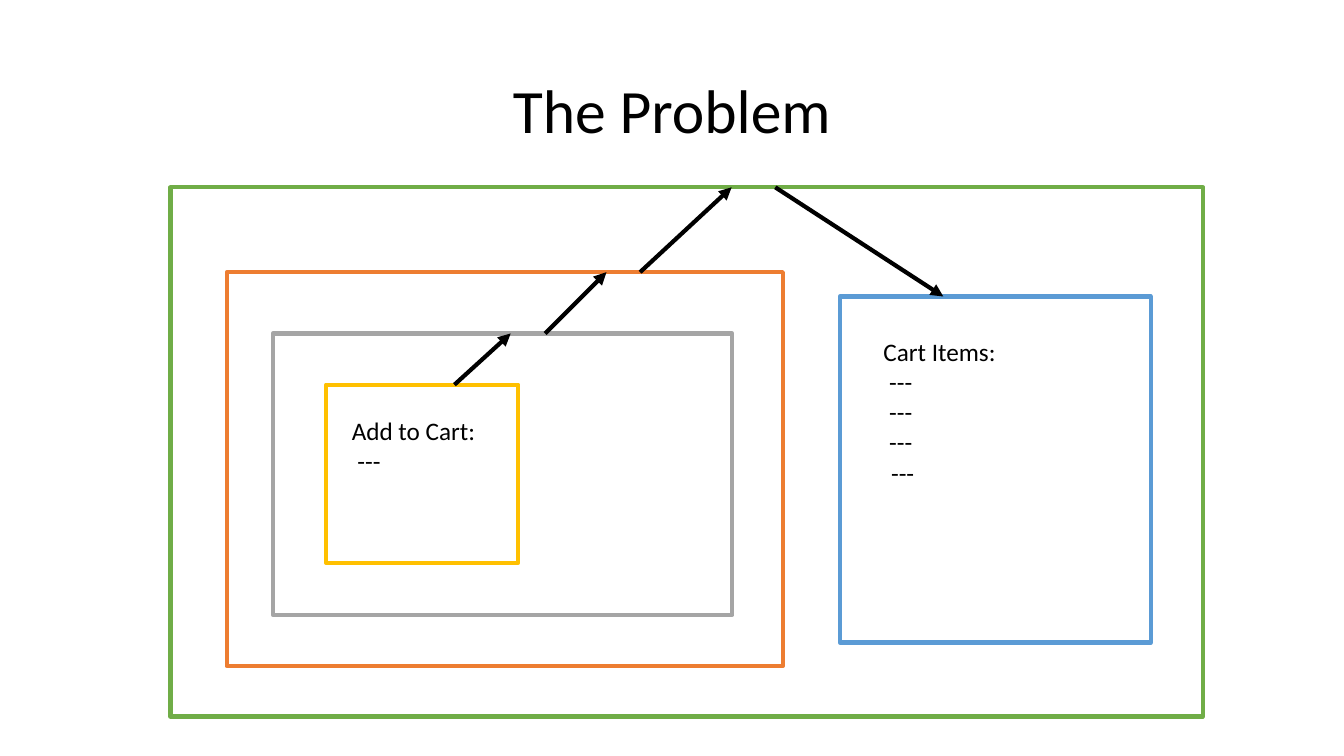
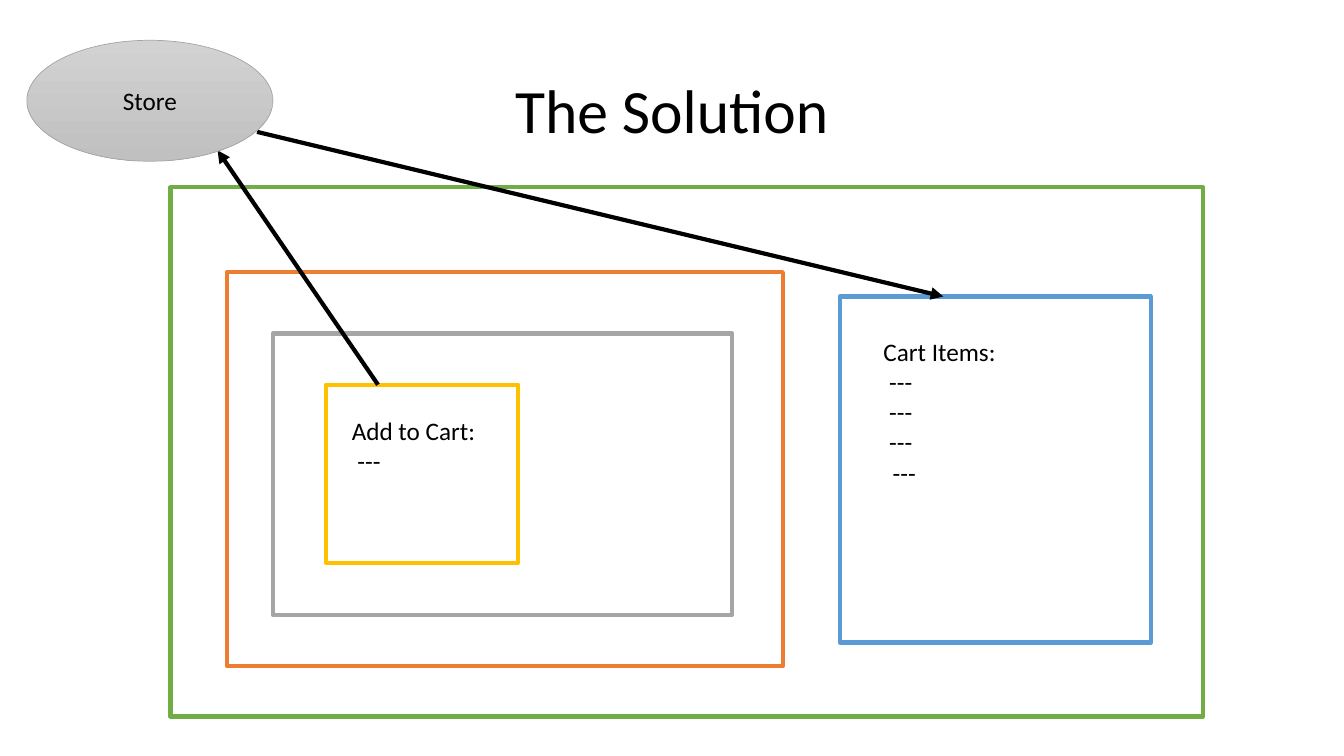
from collections import namedtuple
from dataclasses import dataclass

from lxml import etree
from pptx import Presentation
from pptx.dml.color import RGBColor
from pptx.enum.shapes import MSO_CONNECTOR, MSO_SHAPE
from pptx.enum.text import MSO_ANCHOR, MSO_AUTO_SIZE, PP_ALIGN
from pptx.oxml.ns import qn
from pptx.util import Inches, Pt

RECTANGLE, OVAL = MSO_SHAPE.RECTANGLE, MSO_SHAPE.OVAL
STRAIGHT = MSO_CONNECTOR.STRAIGHT
LEFT, CENTER = PP_ALIGN.LEFT, PP_ALIGN.CENTER
TOP, MIDDLE = MSO_ANCHOR.TOP, MSO_ANCHOR.MIDDLE
GROW, FIXED = MSO_AUTO_SIZE.SHAPE_TO_FIT_TEXT, MSO_AUTO_SIZE.NONE

COLUMNS, ROWS = 160, 90
Area = namedtuple("Area", "left top width height")


@dataclass(frozen=True)
class Theme:
    font: str = "Calibri"
    title_size: float = 44
    body_size: float = 18
    ink: str = "000000"
    paper: str = "FFFFFF"
    green: str = "70AD47"
    orange: str = "ED7D31"
    gray: str = "A5A5A5"
    blue: str = "5B9BD5"
    yellow: str = "FFC000"
    store_light: str = "D2D2D2"
    store_dark: str = "C0C0C0"
    heavy_line: float = 3
    fine_line: float = 0.5


THEME = Theme()
TITLE = Area(11, 4.8, 138, 17.4)
APP = Area(20.3, 22.3, 122.9, 63)
SECTION = Area(27, 32.4, 66.2, 46.9)
PANEL = Area(32.5, 39.7, 54.7, 33.5)
CART = Area(100, 35.3, 37, 41.2)
BUTTON = Area(38.8, 45.8, 22.9, 21.2)
STORE = Area(3.2, 4.8, 29.3, 14.4)
CART_TEXT = Area(104, 39.4, 28.8, 15.7)
BUTTON_TEXT = Area(40.7, 48.8, 23, 8.5)
LAST_ITEM_TOP, LAST_ITEM_HEIGHT = 53.9, 4.8
CART_ENTRY = (112.3, CART.top)

FRAMES = [
    (APP, THEME.green),
    (SECTION, THEME.orange),
    (PANEL, THEME.gray),
    (CART, THEME.blue),
    (BUTTON, THEME.yellow),
]
PROBLEM_ARROWS = [
    ((54.1, BUTTON.top), (60.8, PANEL.top)),
    ((64.9, PANEL.top), (72.2, SECTION.top)),
    ((76.2, SECTION.top), (87.1, APP.top)),
    ((92.3, APP.top), CART_ENTRY),
]
SOLUTION_ARROWS = [
    ((45, BUTTON.top), (25.9, 17.9)),
    ((30.6, 15.7), CART_ENTRY),
]


def color(code):
    return RGBColor.from_string(code)


def write(frame, text, size=THEME.body_size, align=LEFT, anchor=TOP, spacing=1.0, fit=FIXED):
    frame.word_wrap = True
    frame.auto_size = fit
    frame.vertical_anchor = anchor
    for index, line in enumerate(text.split("\n")):
        para = frame.paragraphs[0] if index == 0 else frame.add_paragraph()
        para.alignment = align
        para.line_spacing = spacing
        span = para.add_run()
        span.text = line
        span.font.name = THEME.font
        span.font.size = Pt(size)
        span.font.color.rgb = color(THEME.ink)


class Sketch:
    """Draws styled elements on the current page, measured in grid cells."""

    def __init__(self, deck, theme):
        self.deck = deck
        self.theme = theme
        self.page = None

    def place(self, across, down):
        return (
            round(across * self.deck.slide_width / COLUMNS),
            round(down * self.deck.slide_height / ROWS),
        )

    def bounds(self, area):
        return self.place(area.left, area.top) + self.place(area.width, area.height)

    def new_page(self, title):
        self.page = self.deck.slides.add_slide(self.deck.slide_layouts[6])
        self.text(TITLE, title, size=self.theme.title_size, align=CENTER,
                  anchor=MIDDLE, spacing=0.9)

    def text(self, area, text, **style):
        box = self.page.shapes.add_textbox(*self.bounds(area))
        write(box.text_frame, text, **style)

    def outline(self, kind, area, line, width):
        shape = self.page.shapes.add_shape(kind, *self.bounds(area))
        shape.shadow.inherit = False
        shape.line.color.rgb = color(line)
        shape.line.width = Pt(width)
        return shape

    def frame(self, area, line):
        box = self.outline(RECTANGLE, area, line, self.theme.heavy_line)
        box.fill.solid()
        box.fill.fore_color.rgb = color(self.theme.paper)

    def store(self, area, text):
        oval = self.outline(OVAL, area, self.theme.gray, self.theme.fine_line)
        oval.fill.gradient()
        oval.fill.gradient_angle = 270
        shades = (self.theme.store_light, self.theme.store_dark)
        for stop, shade in zip(oval.fill.gradient_stops, shades):
            stop.color.rgb = color(shade)
        write(oval.text_frame, text, align=CENTER, anchor=MIDDLE)

    def arrow(self, start, end):
        connector = self.page.shapes.add_connector(
            STRAIGHT, *self.place(*start), *self.place(*end))
        connector.line.color.rgb = color(self.theme.ink)
        connector.line.width = Pt(self.theme.heavy_line)
        properties = connector.element.spPr
        etree.SubElement(properties.find(qn("a:ln")), qn("a:tailEnd"), type="triangle")
        etree.SubElement(properties, qn("a:effectLst"))

    def cart_diagram(self, title, arrows, last_item_left):
        self.new_page(title)
        for area, line in FRAMES:
            self.frame(area, line)
        for start, end in arrows:
            self.arrow(start, end)
        self.text(CART_TEXT, "Cart Items:\n ---\n ---\n ---", fit=GROW)
        self.text(BUTTON_TEXT, "Add to Cart:\n ---", fit=GROW)
        last_item = Area(last_item_left, LAST_ITEM_TOP, CART_TEXT.width, LAST_ITEM_HEIGHT)
        self.text(last_item, "---", fit=GROW)


def main():
    deck = Presentation()
    deck.slide_width, deck.slide_height = Inches(40 / 3), Inches(7.5)
    sketch = Sketch(deck, THEME)
    sketch.cart_diagram("The Problem", PROBLEM_ARROWS, 104.9)
    sketch.cart_diagram("The Solution", SOLUTION_ARROWS, 105.1)
    sketch.store(STORE, "Store")
    deck.save("out.pptx")


if __name__ == "__main__":
    main()
